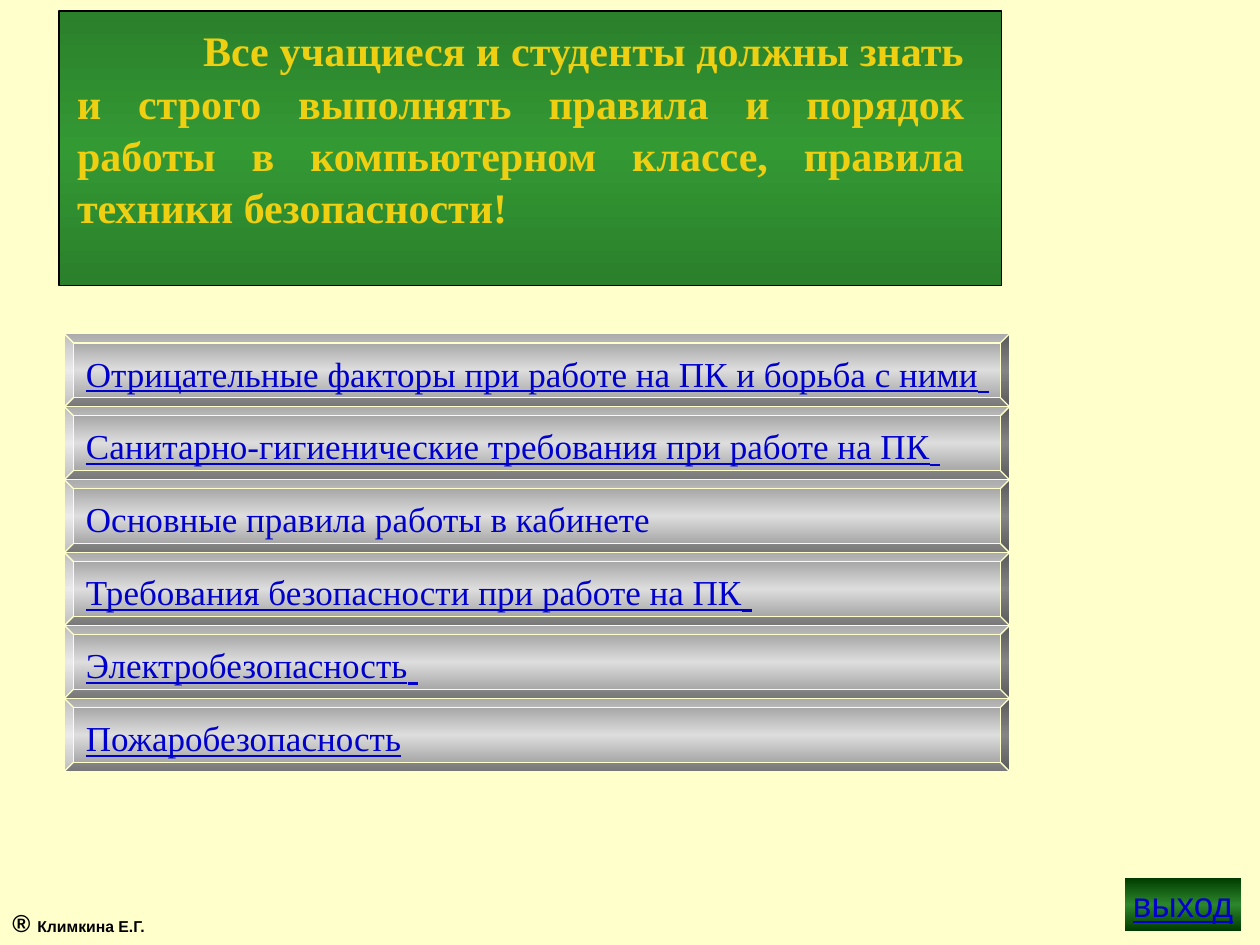
from copy import deepcopy
from pptx import Presentation
from pptx.dml.color import RGBColor
from pptx.enum.shapes import MSO_SHAPE
from pptx.enum.text import MSO_ANCHOR, MSO_AUTO_SIZE, PP_ALIGN
from pptx.oxml.ns import qn
from pptx.util import Cm, Pt

SERIF, SANS = "Times New Roman", "Arial"
LINK, BLACK, CREAM = "0000CC", "000000", "FFFFCC"


def paint(code):
    return RGBColor.from_string(code)


def write(para, text, size=20, font=SERIF, color=LINK, bold=False, under=False):
    run = para.add_run()
    run.text = text
    style = run.font
    style.size, style.name = Pt(size), font
    style.bold, style.underline = bold, under
    style.color.rgb = paint(color)


class Page:
    def __init__(self, deck):
        self.slide = deck.slides.add_slide(deck.slide_layouts[5])
        self.shapes = self.slide.shapes
        back = self.slide.background.fill
        back.solid()
        back.fore_color.rgb = paint(CREAM)

    def frame(self, shape, anchor, align, wrap=True):
        text = shape.text_frame
        text.auto_size = MSO_AUTO_SIZE.NONE
        text.word_wrap = wrap
        text.vertical_anchor = anchor
        para = text.paragraphs[0]
        para.alignment = align
        return para

    def panel(self, kind, box, edge, mid, line=None):
        shape = self.shapes.add_shape(kind, *map(Cm, box))
        shape.shadow.inherit = False
        fill = shape.fill
        fill.gradient()
        fill.gradient_angle = 90
        first, last = fill.gradient_stops
        first.color.rgb, last.color.rgb = paint(edge), paint(mid)
        last.position = 0.5
        stops = shape.element.spPr.find(qn("a:gradFill")).find(qn("a:gsLst"))
        end = deepcopy(stops[0])
        end.set("pos", "100000")
        stops.append(end)
        if line:
            shape.line.color.rgb = paint(line)
            shape.line.width = Pt(0.75)
        else:
            shape.line.fill.background()
        return shape

    def title(self, text, box):
        shape = self.shapes.title
        shape.left, shape.top, shape.width, shape.height = map(Cm, box)
        para = self.frame(shape, MSO_ANCHOR.TOP, PP_ALIGN.JUSTIFY)
        para.line_spacing = 1.04
        para._p.get_or_add_pPr().set("indent", str(Cm(2.54)))
        write(para, text, size=24, color="EFCF11", bold=True)
        shape.element.getparent().append(shape.element)

    def bar(self, text, top, under, tail):
        shape = self.panel(MSO_SHAPE.BEVEL, (1.3, top, 19.05, 1.47),
                           "969696", "DDDDDD", CREAM)
        para = self.frame(shape, MSO_ANCHOR.MIDDLE, PP_ALIGN.LEFT, False)
        write(para, text, under=under)
        write(para, " ", size=24, under=tail)

    def exit(self, text, box):
        shape = self.panel(MSO_SHAPE.ACTION_BUTTON_CUSTOM, box,
                           "003C00", "2C862C")
        para = self.frame(shape, MSO_ANCHOR.BOTTOM, PP_ALIGN.CENTER, False)
        write(para, text, font=SANS, under=True)

    def label(self, parts, box):
        shape = self.shapes.add_textbox(*map(Cm, box))
        para = self.frame(shape, MSO_ANCHOR.TOP, PP_ALIGN.LEFT)
        for text, size in parts:
            write(para, text, size=size, font=SANS, color=BLACK, bold=True)


def main():
    deck = Presentation()
    deck.slide_width, deck.slide_height = Cm(25.4), Cm(19.05)
    page = Page(deck)
    page.panel(MSO_SHAPE.RECTANGLE, (1.19, 0.22, 19, 5.54),
               "2B802B", "339933", BLACK)
    page.title("Все учащиеся и студенты должны знать и строго выполнять "
               "правила и порядок работы в компьютерном классе, "
               "правила техники безопасности!", (1.3, 0.33, 18.39, 4.32))
    topics = [
        ("Отрицательные факторы при работе на ПК и борьба с ними", True, True),
        ("Санитарно-гигиенические требования при работе на ПК", True, True),
        ("Основные правила работы в кабинете", False, False),
        ("Требования безопасности при работе на ПК", True, True),
        ("Электробезопасность", True, True),
        ("Пожаробезопасность", True, False),
    ]
    for row, (text, under, tail) in enumerate(topics):
        page.bar(text, 6.73 + 1.47 * row, under, tail)
    page.exit("выход", (22.68, 17.7, 2.34, 1.07))
    page.label([("® ", 14), ("Климкина Е.Г.", 9)], (0, 18.19, 6.99, 0.84))
    deck.save("out.pptx")


if __name__ == "__main__":
    main()
